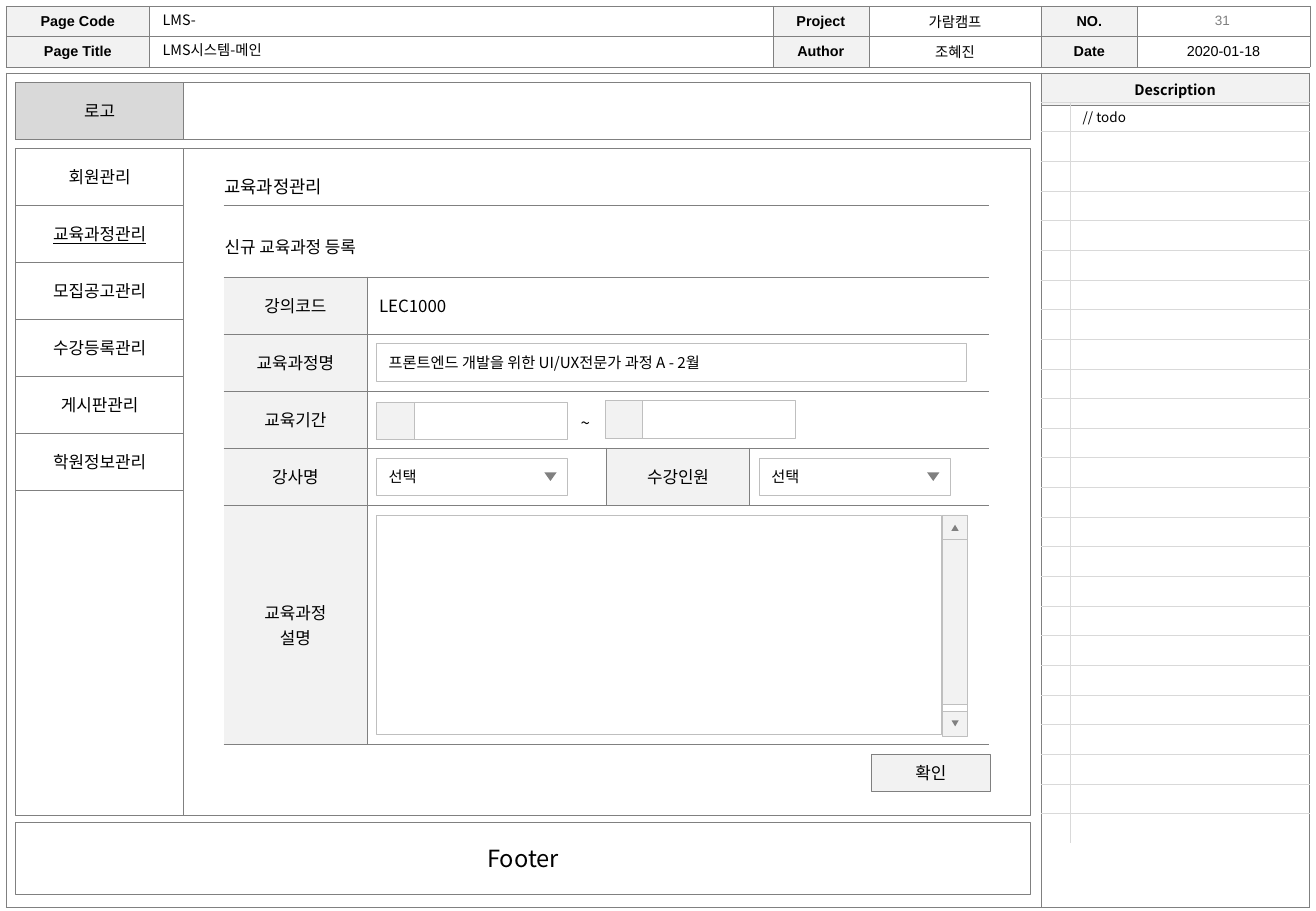
from lxml.etree import SubElement
from pptx import Presentation
from pptx.dml.color import RGBColor
from pptx.enum.shapes import MSO_CONNECTOR, MSO_SHAPE
from pptx.enum.text import MSO_ANCHOR, PP_ALIGN
from pptx.oxml.ns import qn
from pptx.util import Inches, Pt

KOREAN = "Noto Sans CJK KR"
GRAY, LIGHT, PALE, SILVER, WHITE = "808080", "F2F2F2", "D9D9D9", "BFBFBF", "FFFFFF"
NO_STYLE = "{2D5ABB26-0587-4C30-8999-92F81FD0307C}"


def color(value):
    return RGBColor.from_string(value)


def write(frame, text, size=10, align=PP_ALIGN.CENTER, font=KOREAN,
          ink="000000", bold=False, underline=False):
    frame.text = text
    for paragraph in frame.paragraphs:
        paragraph.alignment = align
        for run in paragraph.runs:
            run.font.size = Pt(size)
            run.font.name = font
            run.font.bold = bold
            run.font.underline = underline
            run.font.color.rgb = color(ink)
            east_asian = SubElement(run.font._element, qn("a:ea"))
            east_asian.set("typeface", font)


def add_box(slide, left, top, width, height, text="", fill=WHITE, line=GRAY,
            weight=0.5, kind=MSO_SHAPE.RECTANGLE, **style):
    shape = slide.shapes.add_shape(kind, Inches(left), Inches(top), Inches(width), Inches(height))
    shape.shadow.inherit = False
    shape.fill.solid()
    shape.fill.fore_color.rgb = color(fill)
    if line:
        shape.line.color.rgb = color(line)
        shape.line.width = Pt(weight)
    else:
        shape.line.fill.background()
    if text:
        shape.text_frame.vertical_anchor = MSO_ANCHOR.MIDDLE
        write(shape.text_frame, text, **style)
    return shape


def add_triangle(slide, left, top, width, height, down=True):
    triangle = add_box(slide, left, top, width, height, fill=GRAY, line=None,
                       kind=MSO_SHAPE.ISOSCELES_TRIANGLE)
    if down:
        triangle.rotation = 180


def add_label(slide, left, top, width, height, text, wrap=True, align=PP_ALIGN.LEFT, **style):
    box = slide.shapes.add_textbox(Inches(left), Inches(top), Inches(width), Inches(height))
    box.text_frame.word_wrap = wrap
    write(box.text_frame, text, align=align, **style)


def add_select(slide, left, top):
    add_box(slide, left, top, 1.57, 0.31, "선택", line=SILVER, size=9, align=PP_ALIGN.LEFT)
    add_triangle(slide, left + 1.38, top + 0.12, 0.1, 0.07)


def add_date_field(slide, left, top):
    add_box(slide, left, top, 1.57, 0.31, line=SILVER)
    add_box(slide, left, top, 0.31, 0.31, fill=LIGHT, line=SILVER)


def add_grid(slide, left, top, columns, rows):
    frame = slide.shapes.add_table(len(rows), len(columns), Inches(left), Inches(top),
                                   Inches(sum(columns)), Inches(sum(rows)))
    table = frame.table
    table.first_row = table.horz_banding = False
    table._tbl.tblPr.find(qn("a:tableStyleId")).text = NO_STYLE
    for column, width in zip(table.columns, columns):
        column.width = Inches(width)
    for row, height in zip(table.rows, rows):
        row.height = Inches(height)
    return table


def format_cell(cell, text="", sides="LRTB", line=GRAY, weight=0.5, fill=None,
                margin=0.05, **style):
    properties = cell._tc.get_or_add_tcPr()
    for side in sides:
        border = SubElement(properties, qn("a:ln" + side), w=str(Pt(weight)))
        paint = SubElement(border, qn("a:solidFill"))
        SubElement(paint, qn("a:srgbClr"), val=line)
    if fill:
        cell.fill.solid()
        cell.fill.fore_color.rgb = color(fill)
    else:
        cell.fill.background()
    cell.vertical_anchor = MSO_ANCHOR.MIDDLE
    cell.margin_top = cell.margin_bottom = Inches(margin)
    if text:
        write(cell.text_frame, text, **style)
    else:
        # Small type keeps an empty row from growing
        SubElement(cell.text_frame.paragraphs[0]._p, qn("a:endParaRPr"), sz="800")


def add_page_header(slide):
    # Outer frame with the description heading
    frame = add_grid(slide, 0.05, 0.6, [8.52, 2.2], [0.27, 6.6])
    format_cell(frame.cell(0, 0), sides="LRT", weight=0.25)
    format_cell(frame.cell(1, 0), sides="LRB", weight=0.25)
    format_cell(frame.cell(0, 1), "Description", weight=0.25, fill=LIGHT, margin=0.02,
                size=8.5, bold=True)
    format_cell(frame.cell(1, 1), weight=0.25)

    # Page information
    information = [["Page Code", "", "Project", "가람캠프", "NO.", ""],
                   ["Page Title", "", "Author", "조혜진", "Date", "2020-01-18"]]
    table = add_grid(slide, 0.05, 0.05, [1.18, 5.13, 0.79, 1.42, 0.79, 1.42], [0.25, 0.25])
    for row, texts in enumerate(information):
        for column, text in enumerate(texts):
            heading = column % 2 == 0
            format_cell(table.cell(row, column), text, weight=0.25, margin=0.04,
                        fill=LIGHT if heading else None, size=8.5, bold=heading,
                        font=KOREAN if column == 3 else "Arial")
    add_label(slide, 9.35, 0.05, 1.42, 0.24, "31", size=8, font="Arial", ink="7F7F7F",
              align=PP_ALIGN.CENTER)
    add_label(slide, 1.24, 0.04, 5.12, 0.24, "LMS-", size=8.5)
    add_label(slide, 1.24, 0.29, 5.12, 0.24, "LMS시스템-메인", size=8.5)


def add_description_list(slide):
    count = 25
    table = add_grid(slide, 8.57, 0.84, [0.24, 1.97], [6.11 / count] * count)
    for row in range(count):
        horizontal = "TB" if row < count - 1 else "T"
        format_cell(table.cell(row, 0), sides="R" + horizontal, line=PALE, margin=0.03)
        format_cell(table.cell(row, 1), "" if row else "// todo", sides="L" + horizontal,
                    line=PALE, margin=0.03, size=8, align=PP_ALIGN.LEFT)


def add_navigation(slide):
    add_box(slide, 0.13, 0.68, 8.35, 0.47)
    add_box(slide, 0.13, 0.68, 1.38, 0.47, "로고", fill=PALE, weight=0.75)
    add_box(slide, 0.13, 1.22, 1.38, 5.49)
    menu = ["회원관리", "교육과정관리", "모집공고관리", "수강등록관리", "게시판관리", "학원정보관리"]
    for index, text in enumerate(menu):
        add_box(slide, 0.13, 1.22 + index * 0.47, 1.38, 0.47, text, underline=index == 1)
    add_box(slide, 0.13, 6.77, 8.35, 0.59, "Footer", size=14)


def add_form_table(slide):
    table = add_grid(slide, 1.84, 2.28, [1.18, 1.97, 1.18, 1.97], [0.47] * 4 + [1.97])
    labels = ["강의코드", "교육과정명", "교육기간", "강사명", "교육과정\n설명"]
    for row, label in enumerate(labels):
        format_cell(table.cell(row, 0), label, sides="RTB", fill=LIGHT)
        if label == "강사명":
            format_cell(table.cell(row, 1))
            format_cell(table.cell(row, 2), "수강인원", fill=LIGHT)
            format_cell(table.cell(row, 3), sides="LTB")
        else:
            table.cell(row, 1).merge(table.cell(row, 3))
            format_cell(table.cell(row, 1), "" if row else "LEC1000", sides="LTB",
                        align=PP_ALIGN.LEFT)
            for column in (2, 3):
                format_cell(table.cell(row, column), sides="TB")


def add_text_area(slide):
    add_box(slide, 3.1, 4.24, 4.65, 1.81, line=SILVER)
    # Scroll bar: track, thumb and the two arrow buttons
    for top, height, fill in [(4.24, 1.62, WHITE), (4.44, 1.36, LIGHT),
                              (4.24, 0.2, LIGHT), (5.86, 0.2, LIGHT)]:
        add_box(slide, 7.76, top, 0.2, height, fill=fill, line=SILVER)
    add_triangle(slide, 7.83, 4.32, 0.06, 0.05, down=False)
    add_triangle(slide, 7.83, 5.93, 0.06, 0.05)


def add_course_form(slide):
    add_box(slide, 1.51, 1.22, 6.97, 5.49)
    # Headings
    add_label(slide, 1.75, 1.4, 1.09, 0.28, "교육과정관리", wrap=False, size=10.5)
    rule = slide.shapes.add_connector(MSO_CONNECTOR.STRAIGHT, Inches(1.84), Inches(1.69),
                                      Inches(8.14), Inches(1.69))
    rule.line.color.rgb = color(GRAY)
    rule.line.width = Pt(0.5)
    SubElement(rule._element.spPr, qn("a:effectLst"))
    add_label(slide, 1.75, 1.9, 1.42, 0.27, "신규 교육과정 등록", wrap=False)

    # Fields
    add_form_table(slide)
    add_box(slide, 3.1, 2.83, 4.85, 0.31, "프론트엔드 개발을 위한 UI/UX전문가 과정 A - 2월",
            line=SILVER, size=9, align=PP_ALIGN.LEFT)
    add_date_field(slide, 3.1, 3.31)
    add_label(slide, 4.68, 3.35, 0.3, 0.27, "~", wrap=False)
    add_date_field(slide, 4.98, 3.3)
    for left in (3.1, 6.25):
        add_select(slide, left, 3.77)
    add_text_area(slide)
    add_box(slide, 7.17, 6.21, 0.98, 0.31, "확인", fill=LIGHT)


def main():
    presentation = Presentation()
    presentation.slide_width = Inches(10.83)
    presentation.slide_height = Inches(7.5)
    slide = presentation.slides.add_slide(presentation.slide_layouts[6])
    add_page_header(slide)
    add_description_list(slide)
    add_course_form(slide)
    add_navigation(slide)
    presentation.save("out.pptx")


main()
